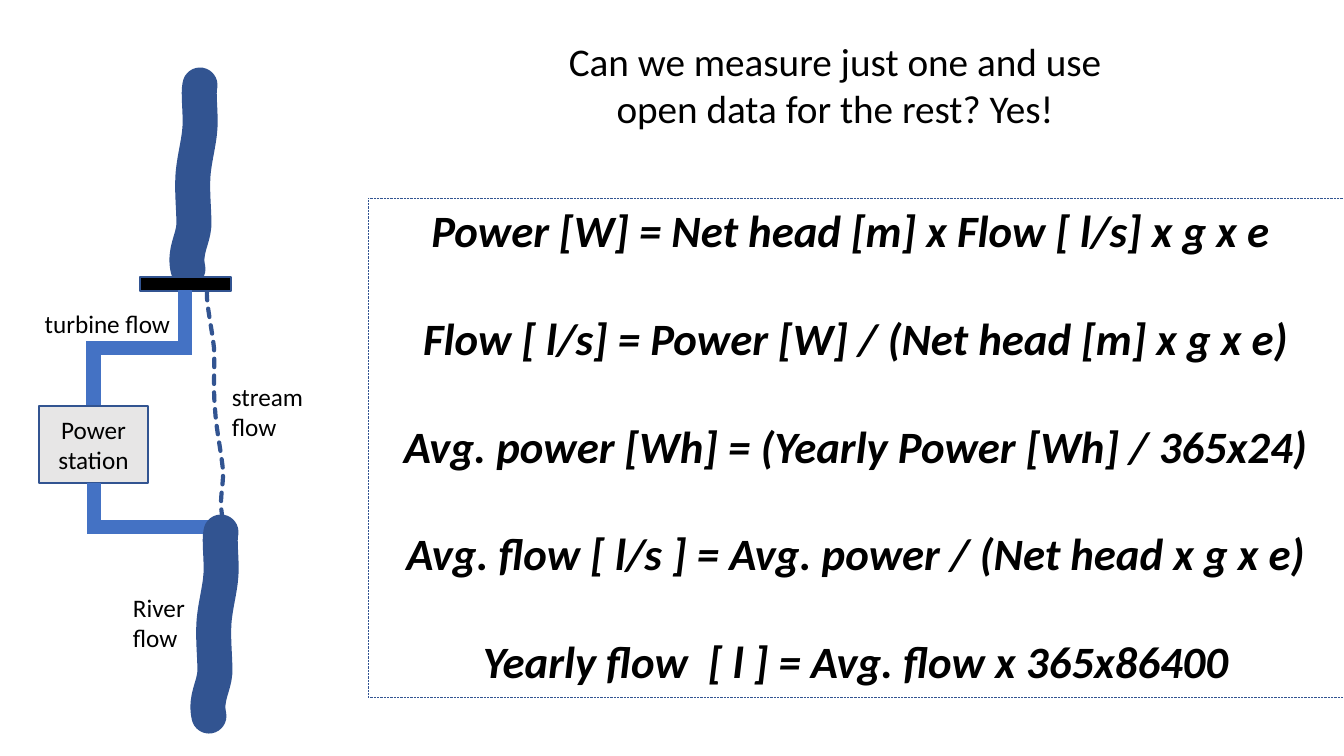
from math import cos, radians, sin

from lxml import etree
from pptx import Presentation
from pptx.dml.color import RGBColor
from pptx.enum.dml import MSO_LINE
from pptx.enum.shapes import MSO_CONNECTOR, MSO_SHAPE
from pptx.enum.text import MSO_ANCHOR, PP_ALIGN
from pptx.oxml.ns import qn
from pptx.util import Pt

EMU_PER_PIXEL = 914400 / 100.8
RECTANGLE = MSO_SHAPE.RECTANGLE
ELBOW = MSO_CONNECTOR.ELBOW
DASHED, DOTTED = MSO_LINE.SQUARE_DOT, MSO_LINE.ROUND_DOT
LEFT, CENTER, RIGHT = PP_ALIGN.LEFT, PP_ALIGN.CENTER, PP_ALIGN.RIGHT
TOP, MIDDLE = MSO_ANCHOR.TOP, MSO_ANCHOR.MIDDLE
color = RGBColor.from_string
RIVER_BLUE, PIPE_BLUE, BLACK, GRAY = "325491", "4472C4", "000000", "E7E6E6"


def emu(*pixels):
    return [round(value * EMU_PER_PIXEL) for value in pixels]


def write(shape, lines, size, align, anchor=TOP, bold=False, gap=0):
    frame = shape.text_frame
    frame.word_wrap = True
    frame.vertical_anchor = anchor
    for index, line in enumerate(lines):
        paragraph = frame.add_paragraph() if index else frame.paragraphs[0]
        paragraph.alignment = align
        paragraph.space_before = Pt(gap if index else 0)
        run = paragraph.add_run()
        run.text = line
        run.font.name = "Calibri"
        run.font.size = Pt(size)
        run.font.bold = run.font.italic = bold
        run.font.color.rgb = color(BLACK)


presentation = Presentation()
presentation.slide_width, presentation.slide_height = emu(1344, 756)
slide = presentation.slides.add_slide(presentation.slide_layouts[6])
shapes = slide.shapes

# Watercourses: a start point, then three Bezier points per section
river = [(200, 85), (198, 93), (201, 113), (200, 128), (199, 143), (194, 160), (193, 176),
         (192, 193), (194, 209), (194, 225), (193, 240), (184, 251), (188, 269)]
lower_river = [(x + 21, y + 447) for x, y in river]
stream = [(207, 292), (206, 302), (212, 329), (214, 348), (215, 367), (213, 388), (215, 408),
          (216, 428), (221, 450), (223, 470), (224, 489), (217, 503), (225, 526)]
watercourses = []
for course, tilt, width, dash in [(stream, 17.4, 3, DASHED), (river, 13.2, 25, None),
                                  (lower_river, 13.2, 25, None)]:
    # Straighten the course about its middle; the shape's rotation tilts it back
    middle_x = (course[0][0] + course[-1][0]) / 2
    middle_y = (course[0][1] + course[-1][1]) / 2
    cosine, sine = cos(radians(tilt)), sin(radians(tilt))
    upright = [emu(middle_x + (x - middle_x) * cosine - (y - middle_y) * sine,
                   middle_y + (x - middle_x) * sine + (y - middle_y) * cosine)
               for x, y in course]
    builder = shapes.build_freeform(*upright[0])
    builder.add_line_segments(upright[1:], close=False)
    shape = builder.convert_to_shape()
    shape.rotation = 360 - tilt
    segments = list(shape._element.iter(qn("a:lnTo")))
    for start in range(0, len(segments), 3):
        curve = etree.Element(qn("a:cubicBezTo"))
        segments[start].addprevious(curve)
        for segment in segments[start:start + 3]:
            curve.append(segment[0])
            segment.getparent().remove(segment)
    shape.shadow.inherit = False
    shape.fill.background()
    shape.line.color.rgb = color(RIVER_BLUE)
    shape.line.width = Pt(width)
    if dash:
        shape.line.dash_style = dash
    line_xml = shape.line._get_or_add_ln()
    line_xml.set("cap", "rnd")
    etree.SubElement(line_xml, qn("a:round"))
    watercourses.append(shape)

# Dam, power station and formula box
boxes = []
for bounds, fill, width in [((140, 277, 91, 14), BLACK, 1),
                            ((39, 406, 109, 77), GRAY, 1),
                            ((368, 198, 976, 499), None, 0.5)]:
    box = shapes.add_shape(RECTANGLE, *emu(*bounds))
    box.shadow.inherit = False
    if fill:
        box.fill.solid()
        box.fill.fore_color.rgb = color(fill)
    else:
        box.fill.background()
    box.line.color.rgb = color(RIVER_BLUE)
    box.line.width = Pt(width)
    boxes.append(box)
dam, power_station, formula_box = boxes
formula_box.line.dash_style = DOTTED
write(power_station, ["Power station"], 18, CENTER, MIDDLE)
write(formula_box, ["Power [W] = Net head [m] x Flow [ l/s] x g x e ",
                    "Flow [ l/s] = Power [W] / (Net head [m] x g x e)",
                    "Avg. power [Wh] = (Yearly Power [Wh] / 365x24)",
                    "Avg. flow [ l/s ] = Avg. power / (Net head x g x e)",
                    "Yearly flow  [ l ] = Avg. flow x 365x86400"],
      32, CENTER, bold=True, gap=38.5)

# Pipes: frame corners before a quarter turn
for corners, preset, rotation in [((82, 302, 197, 394), "bentConnector3", 90),
                                  ((174, 447, 130, 563), "bentConnector2", 270)]:
    pipe = shapes.add_connector(ELBOW, *emu(*corners))
    pipe.line.color.rgb = color(PIPE_BLUE)
    pipe.line.width = Pt(10)
    etree.SubElement(pipe.line._get_or_add_ln(), qn("a:miter"), lim="800000")
    properties = pipe._element.spPr
    properties.find(qn("a:xfrm")).set("rot", str(rotation * 60000))
    properties.find(qn("a:prstGeom")).set("prst", preset)
    etree.SubElement(properties, qn("a:effectLst"))

# The lower river covers the end of the pipe
shapes._spTree.append(watercourses[-1]._element)

# Labels and heading
for bounds, text, size, align in [
        ((123, 587, 109, 71), "River flow", 18, LEFT),
        ((222, 376, 122, 71), "stream flow", 18, LEFT),
        ((14, 303, 166, 40), "turbine flow", 18, RIGHT),
        ((554, 32, 562, 105), "Can we measure just one and use open data for the rest? Yes!",
         28, CENTER)]:
    write(shapes.add_textbox(*emu(*bounds)), [text], size, align)

presentation.save("out.pptx")
